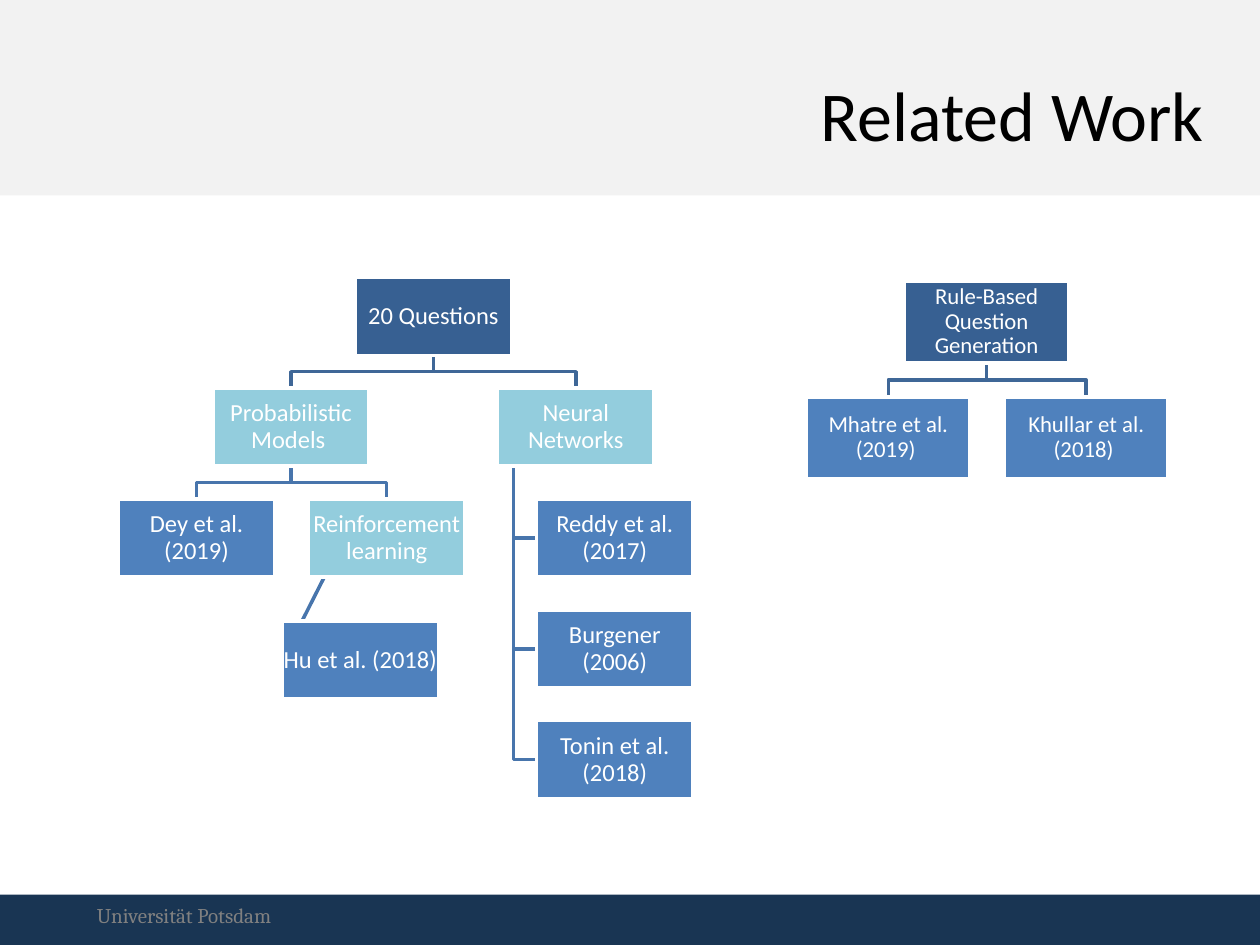
from dataclasses import dataclass

from lxml import etree
from pptx import Presentation
from pptx import util as u
from pptx.dml.color import RGBColor
from pptx.enum import shapes, text
from pptx.oxml.ns import qn


@dataclass(frozen=True)
class Theme:
    band: str = "F2F2F2"
    foot: str = "193553"
    grey: str = "808080"
    black: str = "000000"
    white: str = "FFFFFF"
    root: str = "376092"
    group: str = "93CDDD"
    paper: str = "4F81BD"
    trunk: str = "3F6797"
    twig: str = "4875AC"
    head: str = "Calibri"
    serif: str = "Cambria"
    title: int = 40
    large: int = 14
    small: int = 13
    note: int = 12
    stroke: int = 2


class Deck:
    def __init__(self, theme, slide):
        self.theme = theme
        self.slide = slide

    def fill_text(self, frame, words, size, color, font, align):
        frame.word_wrap = True
        para = frame.paragraphs[0]
        para.alignment = align
        run = para.add_run()
        run.text = words
        run.font.size = u.Pt(size)
        run.font.name = font
        run.font.color.rgb = RGBColor.from_string(color)
        return para

    def rect(self, x, y, w, h, fill):
        shape = self.slide.shapes.add_shape(
            shapes.MSO_SHAPE.RECTANGLE, *map(u.Inches, (x, y, w, h)))
        shape.shadow.inherit = False
        shape.fill.solid()
        shape.fill.fore_color.rgb = RGBColor.from_string(fill)
        shape.line.fill.background()
        return shape

    def label(self, x, y, w, h, words, size, color, font, align, anchor):
        box = self.slide.shapes.add_textbox(*map(u.Inches, (x, y, w, h)))
        self.fill_text(box.text_frame, words, size, color, font, align)
        box.text_frame.vertical_anchor = anchor

    def node(self, x, y, w, h, words, fill, size):
        box = self.rect(x, y, w, h, fill)
        self.ink(box.line, self.theme.white)
        frame = box.text_frame
        frame.margin_left = frame.margin_right = u.Inches(0.01)
        frame.margin_top = frame.margin_bottom = u.Inches(0.01)
        frame.vertical_anchor = text.MSO_ANCHOR.MIDDLE
        para = self.fill_text(frame, words, size, self.theme.white,
                              self.theme.head, text.PP_ALIGN.CENTER)
        para.line_spacing = 0.9
        return box

    def ink(self, line, color):
        line.color.rgb = RGBColor.from_string(color)
        line.width = u.Pt(self.theme.stroke)

    def elbow(self, top, points, color):
        """Draw an open bent line behind the box it starts from."""
        build = self.slide.shapes.build_freeform(*points[0])
        build.add_line_segments(points[1:], close=False)
        shape = build.convert_to_shape()
        shape.shadow.inherit = False
        shape.fill.background()
        self.ink(shape.line, color)
        top.element.addprevious(shape.element)

    def fork(self, top, kids, color):
        x, y = top.left + top.width // 2, top.top + top.height
        for kid in kids:
            end = kid.left + kid.width // 2
            mid = (y + kid.top) // 2
            self.elbow(top, [(x, y), (x, mid), (end, mid), (end, kid.top)], color)

    def stem(self, top):
        """Start point of a line that hangs near the left edge of a box."""
        return top.left + top.width // 10, top.top + top.height

    def hang(self, top, kids, color):
        x, y = self.stem(top)
        for kid in kids:
            mid = kid.top + kid.height // 2
            self.elbow(top, [(x, y), (x, mid), (kid.left, mid)], color)

    def slant(self, top, kid, color):
        """Straight line from the stem of a box to the left side of another."""
        line = self.slide.shapes.add_connector(
            shapes.MSO_CONNECTOR.STRAIGHT, *self.stem(top),
            kid.left, kid.top + kid.height // 2)
        line.end_connect(kid, 1)
        self.ink(line.line, color)
        props = line.element.find(qn("p:spPr"))
        etree.SubElement(props, qn("a:effectLst"))
        top.element.addprevious(line.element)


def games(deck):
    t = deck.theme
    step = 0.88
    rows = [2.2 + step * i for i in range(5)]

    def node(x, y, words, fill):
        return deck.node(x, y, 1.24, 0.62, words, fill, t.large)

    root = node(2.82, rows[0], "20 Questions", t.root)
    prob = node(1.69, rows[1], "Probabilistic Models ", t.group)
    neural = node(3.95, rows[1], "Neural Networks", t.group)
    dey = node(0.94, rows[2], "Dey et al. (2019)", t.paper)
    learn = node(2.45, rows[2], "Reinforcement learning", t.group)
    hu = node(2.24, 4.93, "Hu et al. (2018) ", t.paper)
    names = ("Reddy et al. (2017)", "Burgener (2006)", "Tonin et al. (2018)")
    nets = [node(4.26, y, name, t.paper) for y, name in zip(rows[2:], names)]

    deck.fork(root, (prob, neural), t.trunk)
    deck.fork(prob, (dey, learn), t.twig)
    deck.hang(neural, nets, t.twig)
    deck.slant(learn, hu, t.twig)


def rules(deck):
    t = deck.theme

    def node(x, y, words, fill):
        return deck.node(x, y, 1.3, 0.65, words, fill, t.small)

    root = node(7.18, 2.23, "Rule-Based Question Generation", t.root)
    kids = [node(6.4, 3.15, "Mhatre et al. (2019) ", t.paper),
            node(7.97, 3.15, "Khullar et al. (2018) ", t.paper)]
    deck.fork(root, kids, t.trunk)


def main():
    show = Presentation()
    show.slide_width, show.slide_height = u.Inches(10), u.Inches(7.5)
    t = Theme()
    deck = Deck(t, show.slides.add_slide(show.slide_layouts[6]))

    deck.rect(0, 0, 10, 1.55, t.band)
    deck.rect(0, 7.1, 10, 0.4, t.foot)
    deck.label(0.67, 7.06, 4.41, 0.4, "Universität Potsdam", t.note, t.grey,
               t.serif, text.PP_ALIGN.LEFT, text.MSO_ANCHOR.MIDDLE)
    deck.label(5.79, 0.52, 3.86, 0.77, "Related Work", t.title, t.black,
               t.head, text.PP_ALIGN.RIGHT, text.MSO_ANCHOR.TOP)
    games(deck)
    rules(deck)
    show.save("out.pptx")


if __name__ == "__main__":
    main()
